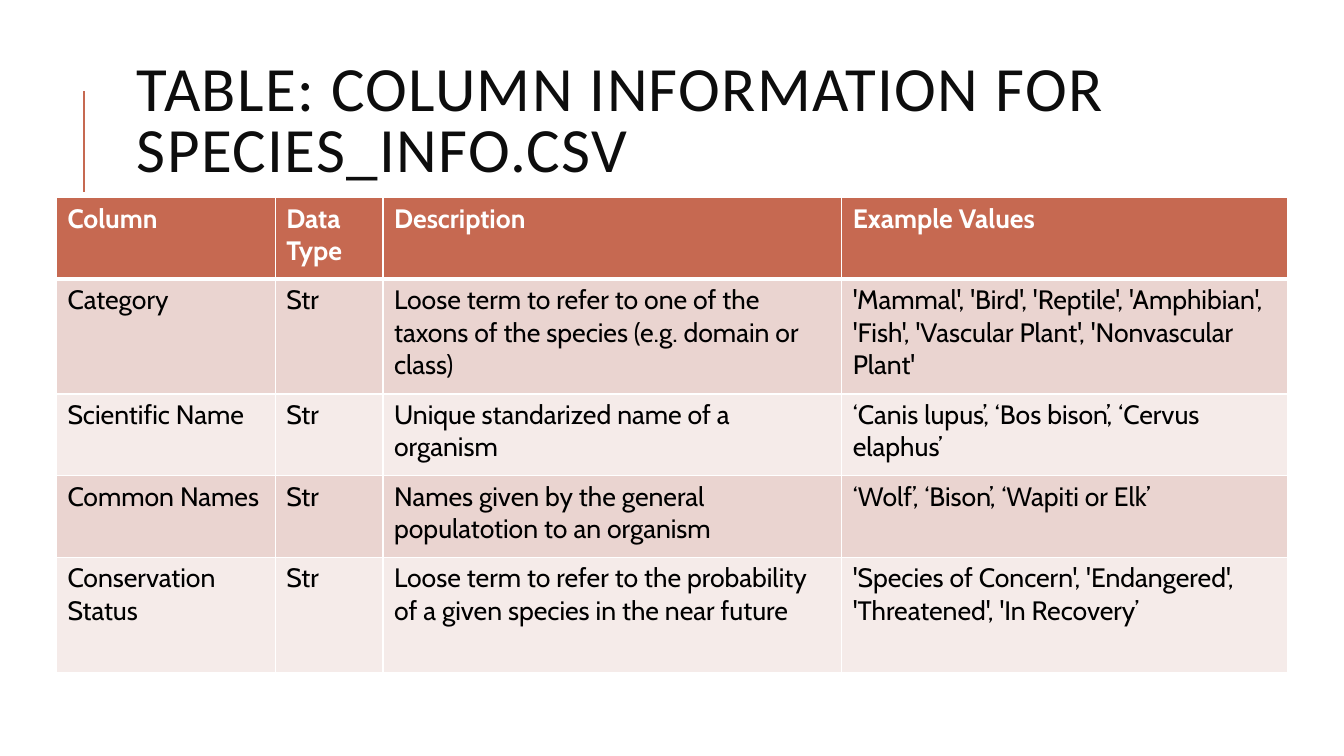
from lxml import etree
from pptx import Presentation
from pptx import util as u
from pptx.dml.color import RGBColor
from pptx.enum import shapes, text
from pptx.oxml import ns

HUES = {"rust": "C66951", "rose": "EAD4D0", "pale": "F5EBE9",
        "ink": "0D0D0D", "black": "000000", "white": "FFFFFF"}
HEAD = {"name": "Cabin", "size": u.Pt(19), "bold": True}
BODY = {**HEAD, "bold": False}
TITLE = {"name": "Calibri", "size": u.Pt(45)}
ROWS = [
    ["Column", "Data Type", "Description", "Example Values"],
    ["Category", "Str",
     "Loose term to refer to one of the taxons of the species (e.g. domain or class)",
     "'Mammal', 'Bird', 'Reptile', 'Amphibian', 'Fish', 'Vascular Plant', 'Nonvascular Plant'"],
    ["Scientific Name", "Str", "Unique standarized name of a organism",
     "‘Canis lupus’, ‘Bos bison’, ‘Cervus elaphus’"],
    ["Common Names", "Str", "Names given by the general populatotion to an organism",
     "‘Wolf’, ‘Bison’, ‘Wapiti or Elk’"],
    ["Conservation Status", "Str",
     "Loose term to refer to the probability of a given species in the near future",
     "'Species of Concern', 'Endangered', 'Threatened', 'In Recovery’"],
]


class Deck:
    """Draws styled elements on a slide grid of 160 columns by 90 rows."""

    def __init__(self):
        self.prs = Presentation()
        self.prs.slide_width, self.prs.slide_height = u.Inches(13.33), u.Inches(7.5)
        self.slide = self.prs.slides.add_slide(self.prs.slide_layouts[6])

    def grid(self, *cells):
        return [u.Inches(cell / 12) for cell in cells]

    def hue(self, name):
        return RGBColor.from_string(HUES[name])

    def apply(self, item, form):
        for key, value in form.items():
            setattr(item, key, value)

    def label(self, frame, words, form, hue):
        run = frame.paragraphs[0].add_run()
        run.text = words
        self.apply(run.font, form)
        run.font.color.rgb = self.hue(hue)
        return run

    def rule(self, ends, hue, width):
        line = self.slide.shapes.add_connector(
            shapes.MSO_CONNECTOR.STRAIGHT, *self.grid(*ends))
        line.line.color.rgb = self.hue(hue)
        line.line.width = u.Pt(width)
        etree.SubElement(line._element.spPr, ns.qn("a:effectLst"))

    def title(self, place, words):
        frame = self.slide.shapes.add_textbox(*self.grid(*place)).text_frame
        self.apply(frame, {"word_wrap": True, "margin_bottom": u.Inches(0.13),
                           "vertical_anchor": text.MSO_ANCHOR.BOTTOM})
        frame.paragraphs[0].line_spacing = 0.8
        run = self.label(frame, words, TITLE, "ink")
        run.font._element.set("spc", "100")

    def edge(self, cell, sides):
        props = cell._tc.get_or_add_tcPr()
        for spot, (side, width) in enumerate(sides.items()):
            line = etree.Element(ns.qn(f"a:ln{side}"), w=str(u.Pt(width)))
            fill = etree.SubElement(line, ns.qn("a:solidFill"))
            etree.SubElement(fill, ns.qn("a:srgbClr"), val=HUES["white"])
            props.insert(spot, line)

    def table(self, place, wide, high, rows):
        table = self.slide.shapes.add_table(
            len(rows), len(wide), *self.grid(*place, sum(wide), sum(high))).table
        self.apply(table, {"first_row": False, "horz_banding": False})
        for col, width in zip(table.columns, self.grid(*wide)):
            col.width = width
        for row, height in zip(table.rows, self.grid(*high)):
            row.height = height
        for r, row in enumerate(rows):
            fill = "rust" if r == 0 else ("pale", "rose")[r % 2]
            form, ink = (BODY, "black") if r else (HEAD, "white")
            for c, words in enumerate(row):
                cell = table.cell(r, c)
                self.apply(cell, {"margin_left": u.Inches(0.11),
                                  "margin_right": u.Inches(0.11)})
                cell.fill.solid()
                cell.fill.fore_color.rgb = self.hue(fill)
                self.label(cell.text_frame, words, form, ink)
                self.edge(cell, {"L": 1, "R": 1, "T": 3 if r == 1 else 1,
                                 "B": 1 if r else 3})


def main():
    deck = Deck()
    deck.rule((10, 22.8, 10, 10.8), "rust", 1.5)
    deck.title((15.12, 14.28, 119.88, 9.24),
               "TABLE: COLUMN INFORMATION FOR SPECIES_INFO.CSV")
    deck.table((6.72, 23.52), (26.04, 12.84, 54.6, 53.04),
               (9.72, 13.68, 9.72, 9.72, 13.68), ROWS)
    deck.prs.save("out.pptx")


if __name__ == "__main__":
    main()
